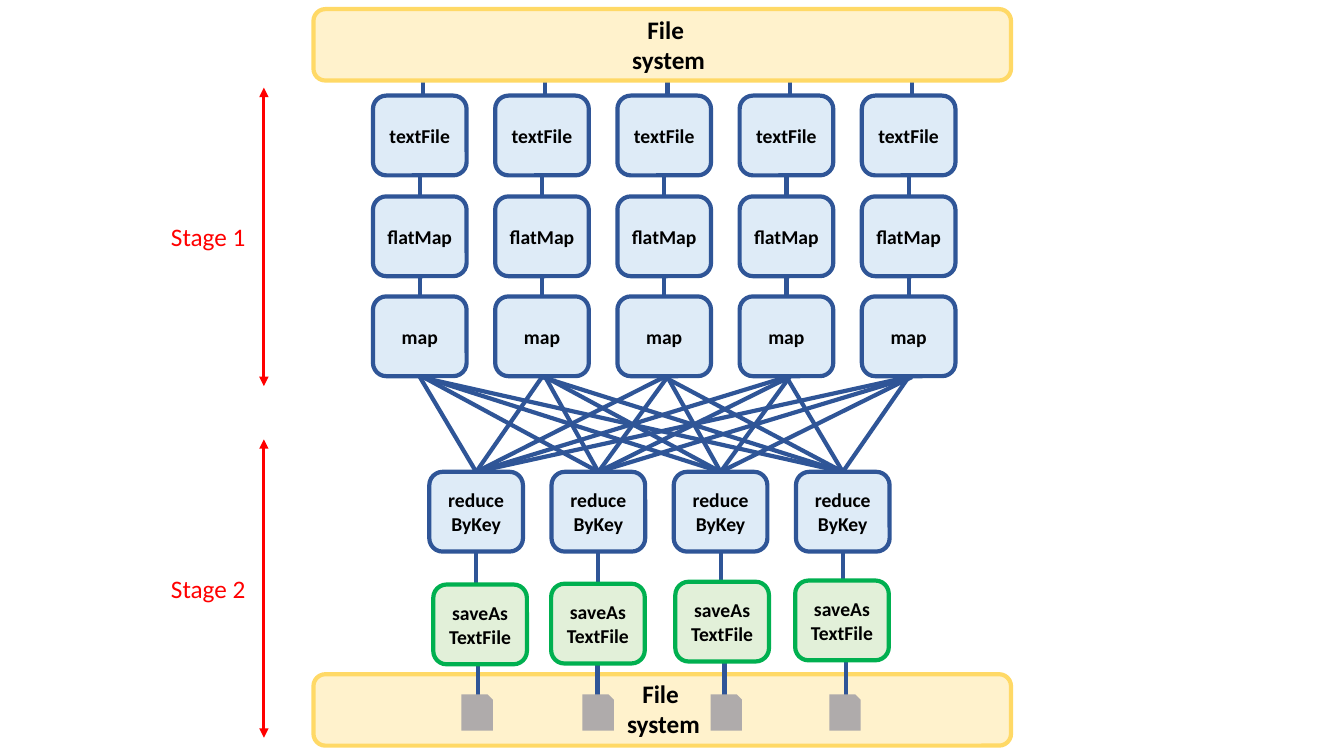
"""Draw a word-count job as two stages of tasks between two file system bars."""
from dataclasses import dataclass

from lxml.etree import SubElement
from pptx import Presentation
from pptx.dml.color import RGBColor
from pptx.enum.shapes import MSO_CONNECTOR as CONN, MSO_SHAPE as SHAPE
from pptx.enum.text import MSO_ANCHOR as ANCHOR, PP_ALIGN as ALIGN
from pptx.oxml.ns import qn
from pptx.util import Cm, Pt

BLUE, PALE_BLUE = "2F5597", "DEEBF7"
GREEN, PALE_GREEN = "00B050", "E2F0D9"
GOLD, CREAM = "FFD966", "FFF2CC"
RED, BLACK, GREY = "FF0000", "000000", "AFABAB"

BOX_W, BOX_H, STEP = 2.36, 2.01, 3.08
MAP_X, REDUCE_X = 9.4, 10.82
MAP_Y, REDUCE_Y = 7.47, 11.89
MAP_MIDS = [MAP_X + BOX_W / 2 + STEP * i for i in range(5)]
REDUCE_MIDS = [REDUCE_X + BOX_W / 2 + STEP * j for j in range(4)]
SHUFFLE_NUDGES = (0, 0.08, 0.08, 0)

TASK_FONT = {"name": "Calibri", "size": Pt(14), "bold": True}
BAR_FONT = {"name": "Calibri", "size": Pt(18), "bold": True}
STAGE_FONT = {"name": "Calibri", "size": Pt(18), "bold": False}


@dataclass
class TaskRow:
    text: str
    left: float
    top: float
    count: int


@dataclass
class Output:
    save_x: float
    save_y: float
    file_x: float
    link_x: float


@dataclass
class Stage:
    name: str
    text_y: float
    top: float
    bottom: float


SOURCE_ROW = TaskRow("textFile", MAP_X, 2.41, 5)
FLAT_ROW = TaskRow("flatMap", MAP_X, 4.95, 5)
MAP_ROW = TaskRow("map", MAP_X, MAP_Y, 5)
REDUCE_ROW = TaskRow("reduce\vByKey", REDUCE_X, REDUCE_Y, 4)
OUTPUTS = [
    Output(10.92, 14.73, 11.63, 12.04),
    Output(13.89, 14.71, 14.68, 15.06),
    Output(17.02, 14.66, 17.91, 18.26),
    Output(20.04, 14.63, 20.9, 21.31),
]
STAGES = [Stage("Stage 1", 5.46, 2.21, 9.73), Stage("Stage 2", 14.33, 11.07, 18.59)]


def rgb(color: str) -> RGBColor:
    """Turn a hex string into a colour."""
    return RGBColor.from_string(color)


def write(tf, text: str, fmt: dict, color: str, align) -> None:
    """Fill a text frame and format every run."""
    tf.text = text
    for p in tf.paragraphs:
        p.alignment = align
        for r in p.runs:
            for name, value in fmt.items():
                setattr(r.font, name, value)
            r.font.color.rgb = rgb(color)


def add_block(s, kind, x: float, y: float, w: float, h: float, fill: str, line: str = ""):
    """Add a flat preset shape, outlined when a line colour is given."""
    sp = s.shapes.add_shape(kind, Cm(x), Cm(y), Cm(w), Cm(h))
    sp.shadow.inherit = False
    sp.fill.solid()
    sp.fill.fore_color.rgb = rgb(fill)
    if line:
        sp.line.color.rgb = rgb(line)
        sp.line.width = Pt(3)
    else:
        sp.line.fill.background()
    return sp


def add_task(s, text: str, x: float, y: float, fill: str = PALE_BLUE, line: str = BLUE) -> None:
    """Add one labelled task box."""
    tf = add_block(s, SHAPE.ROUNDED_RECTANGLE, x, y, BOX_W, BOX_H, fill, line).text_frame
    tf.word_wrap = True
    tf.vertical_anchor = ANCHOR.MIDDLE
    write(tf, text, TASK_FONT, BLACK, ALIGN.CENTER)


def add_row(s, row: TaskRow) -> None:
    """Add a row of equal task boxes."""
    for i in range(row.count):
        add_task(s, row.text, row.left + STEP * i, row.top)


def add_line(s, x1: float, y1: float, x2: float, y2: float, color: str = BLUE, width: float = 3):
    """Add a straight line without shadow."""
    ln = s.shapes.add_connector(CONN.STRAIGHT, Cm(x1), Cm(y1), Cm(x2), Cm(y2))
    ln.line.color.rgb = rgb(color)
    ln.line.width = Pt(width)
    SubElement(ln._element.spPr, qn("a:effectLst"))
    return ln


def add_links(s, xs: list, top: float, bottom: float) -> None:
    """Add upright links at the given places."""
    for x in xs:
        add_line(s, x, top, x, bottom)


def add_label(s, text: str, x: float, y: float, w: float, h: float, fmt: dict, color: str, align) -> None:
    """Add free text that does not wrap."""
    tf = s.shapes.add_textbox(Cm(x), Cm(y), Cm(w), Cm(h)).text_frame
    tf.word_wrap = False
    write(tf, text, fmt, color, align)


def add_bar(s, y: float) -> None:
    """Add one file system bar."""
    add_block(s, SHAPE.ROUNDED_RECTANGLE, 7.9, y, 17.58, 1.8, CREAM, GOLD)


def add_bar_label(s, x: float, y: float) -> None:
    """Name a file system bar."""
    add_label(s, "File \nsystem", x, y, BOX_W, 1.8, BAR_FONT, BLACK, ALIGN.CENTER)


def add_stage(s, stage: Stage) -> None:
    """Add a stage name and its double arrow."""
    add_label(s, stage.name, 4.06, stage.text_y, 2.41, 1.02, STAGE_FONT, RED, ALIGN.LEFT)
    ln = add_line(s, 6.65, stage.top, 6.65, stage.bottom, RED, 2.25)
    for end in ("a:headEnd", "a:tailEnd"):
        SubElement(ln.line._get_or_add_ln(), qn(end), type="triangle")


def main() -> None:
    """Build the slide and save it."""
    prs = Presentation()
    prs.slide_width, prs.slide_height = Cm(33.87), Cm(19.05)
    s = prs.slides.add_slide(prs.slide_layouts[6])

    add_links(s, REDUCE_MIDS, 13.9, 15.5)
    add_links(s, MAP_MIDS, 6.5, MAP_Y)
    add_row(s, MAP_ROW)
    add_row(s, REDUCE_ROW)
    for reduce_x, nudge in zip(REDUCE_MIDS, SHUFFLE_NUDGES):
        for map_x in MAP_MIDS:
            add_line(s, map_x + nudge, 9.5, reduce_x, REDUCE_Y)

    add_bar(s, 16.99)
    add_links(s, [out.link_x for out in OUTPUTS], 16.3, 17.9)
    for out in OUTPUTS:
        add_block(s, SHAPE.SNIP_1_RECTANGLE, out.file_x, 17.5, 0.79, 0.91, GREY)
        add_task(s, "saveAs\nTextFile", out.save_x, out.save_y, PALE_GREEN, GREEN)
    add_bar_label(s, 15.54, 16.97)

    add_links(s, MAP_MIDS, 4, 5.2)
    add_row(s, FLAT_ROW)
    add_links(s, [x + 0.08 for x in MAP_MIDS], 1.6, 3)
    add_row(s, SOURCE_ROW)
    add_bar(s, 0.23)
    add_bar_label(s, 15.67, 0.23)
    for stage in STAGES:
        add_stage(s, stage)

    prs.save("out.pptx")


if __name__ == "__main__":
    main()
